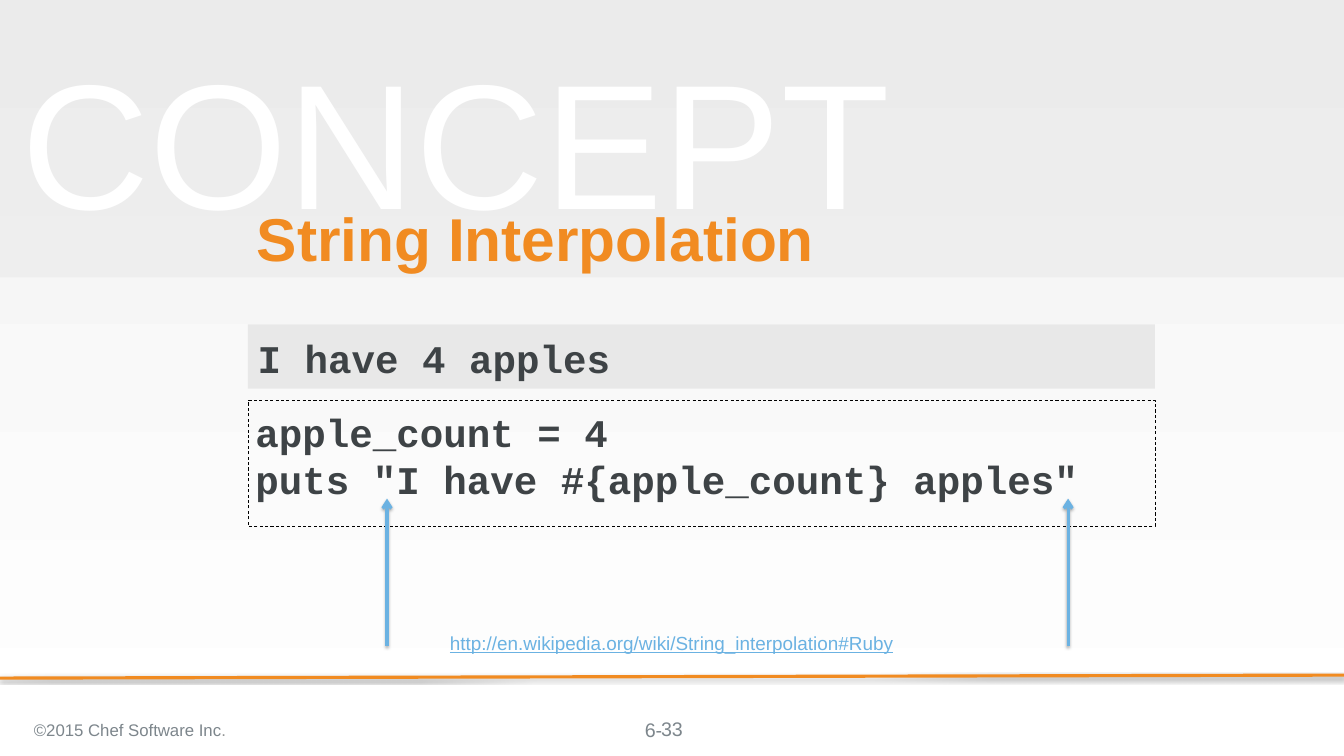
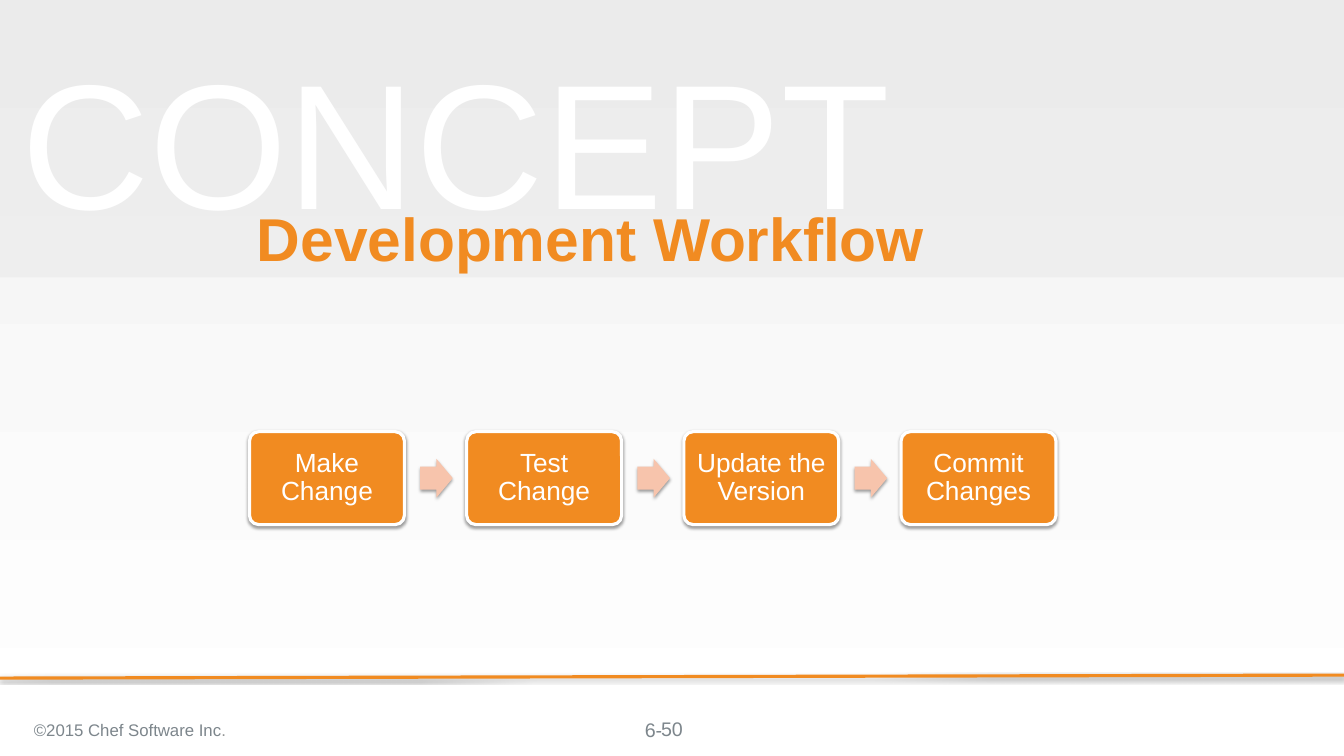
from dataclasses import dataclass
from typing import Optional

import pptx
import pptx.dml.color
import pptx.enum.dml
import pptx.enum.shapes
import pptx.enum.text
import pptx.oxml
import pptx.oxml.ns
import pptx.util

Pt = pptx.util.Pt
RGBColor = pptx.dml.color.RGBColor
Align = pptx.enum.text.PP_ALIGN
Anchor = pptx.enum.text.MSO_ANCHOR
ShapeType = pptx.enum.shapes.MSO_SHAPE
qn = pptx.oxml.ns.qn


@dataclass(frozen=True)
class Theme:
    orange: str = "F18B21"
    blue: str = "6BB2E2"
    peach: str = "F7C4AC"
    dark: str = "3E4346"
    gray: str = "7D868C"
    stop_gray: str = "929494"
    band: str = "D9D9D9"
    pale: str = "F2F2F2"
    white: str = "FFFFFF"
    black: str = "000000"
    font: str = "Arial"
    code_font: str = "Courier New"
    banner_size: float = 169.3
    title_size: float = 57.6
    code_size: float = 37.3
    step_size: float = 25
    number_size: float = 18.7
    link_size: float = 18
    copyright_size: float = 16
    line_width: float = 3


THEME = Theme()
SLIDE_WIDTH, SLIDE_HEIGHT = 1280.16, 720


@dataclass(frozen=True)
class Box:
    left: float
    top: float
    width: float
    height: float

    def lengths(self) -> list:
        return [Pt(value) for value in (self.left, self.top, self.width, self.height)]


@dataclass(frozen=True)
class TextStyle:
    size: float
    color: str
    font: str = THEME.font
    bold: bool = False
    underline: bool = False
    align: Align = Align.LEFT
    anchor: Anchor = Anchor.MIDDLE
    insets: tuple = (7.2, 7.2, 7.2, 7.2)  # left, top, right, bottom
    line_spacing: Optional[float] = None


@dataclass(frozen=True)
class Shadow:
    alpha: int
    distance: float
    blur: float = 3.1


FOOTER_INSETS = (7.2, 3.6, 7.2, 3.6)
WIDE_INSETS = (9.36,) * 4
BANNER = TextStyle(THEME.banner_size, THEME.pale, insets=WIDE_INSETS)
TITLE = TextStyle(THEME.title_size, THEME.orange, bold=True, line_spacing=0.9)
CODE = TextStyle(THEME.code_size, THEME.dark, THEME.code_font, bold=True, anchor=Anchor.TOP)
OUTPUT = TextStyle(THEME.code_size, THEME.dark, THEME.code_font, bold=True,
                   anchor=Anchor.TOP, insets=WIDE_INSETS)
LINK = TextStyle(THEME.link_size, THEME.blue, underline=True, align=Align.CENTER,
                 insets=(7.2, 0, 7.2, 20.4))
STEP = TextStyle(THEME.step_size, THEME.white, align=Align.CENTER, line_spacing=0.9)
COPYRIGHT = TextStyle(THEME.copyright_size, THEME.gray, insets=FOOTER_INSETS)
CHAPTER = TextStyle(THEME.number_size, THEME.gray, anchor=Anchor.TOP, insets=(0, 0, 0, 0))
NUMBER = TextStyle(THEME.number_size, THEME.gray, align=Align.CENTER, insets=FOOTER_INSETS)

LINE_SHADOW = Shadow(alpha=35, distance=1.8)
STEP_SHADOW = Shadow(alpha=38, distance=1.6)


# Drawing helpers
def rgb(color: str) -> RGBColor:
    return RGBColor.from_string(color)


def set_alpha(parent, percent: int) -> None:
    """Make the first solid colour below parent partly transparent."""
    color = next(parent.iter(qn("a:srgbClr")))
    color.append(pptx.oxml.parse_xml(
        f'<a:alpha {pptx.oxml.ns.nsdecls("a")} val="{percent * 1000}"/>'))


def set_shadow(shape, shadow: Shadow) -> None:
    properties = shape._element.spPr
    for effects in properties.findall(qn("a:effectLst")):
        properties.remove(effects)
    properties.append(pptx.oxml.parse_xml(
        f'<a:effectLst {pptx.oxml.ns.nsdecls("a")}>'
        f'<a:outerShdw blurRad="{Pt(shadow.blur)}" dist="{Pt(shadow.distance)}" '
        f'dir="5400000" rotWithShape="0"><a:srgbClr val="{THEME.black}">'
        f'<a:alpha val="{shadow.alpha * 1000}"/></a:srgbClr></a:outerShdw></a:effectLst>'))


def write_text(shape, text: str, style: TextStyle) -> None:
    frame = shape.text_frame
    frame.text = text
    frame.word_wrap = True
    frame.vertical_anchor = style.anchor
    (frame.margin_left, frame.margin_top,
     frame.margin_right, frame.margin_bottom) = [Pt(inset) for inset in style.insets]
    for paragraph in frame.paragraphs:
        paragraph.alignment = style.align
        if style.line_spacing:
            paragraph.line_spacing = style.line_spacing
        for run in paragraph.runs:
            run.font.name = style.font
            run.font.size = Pt(style.size)
            run.font.bold = style.bold
            run.font.underline = style.underline
            run.font.color.rgb = rgb(style.color)


def add_text(slide, box: Box, text: str, style: TextStyle):
    shape = slide.shapes.add_textbox(*box.lengths())
    write_text(shape, text, style)
    return shape


def add_block(slide, kind: ShapeType, box: Box, fill: Optional[str] = None,
              line: Optional[str] = None, line_width: float = THEME.line_width):
    shape = slide.shapes.add_shape(kind, *box.lengths())
    shape.shadow.inherit = False
    if fill:
        shape.fill.solid()
        shape.fill.fore_color.rgb = rgb(fill)
    else:
        shape.fill.background()
    if line:
        shape.line.color.rgb = rgb(line)
        shape.line.width = Pt(line_width)
    else:
        shape.line.fill.background()
    return shape


def add_line(slide, start: tuple, end: tuple, color: str, arrow: bool = False) -> None:
    connector = slide.shapes.add_connector(
        pptx.enum.shapes.MSO_CONNECTOR.STRAIGHT, *[Pt(value) for value in start + end])
    connector.line.color.rgb = rgb(color)
    connector.line.width = Pt(THEME.line_width)
    if arrow:
        connector.line._get_or_add_ln().append(pptx.oxml.parse_xml(
            f'<a:tailEnd {pptx.oxml.ns.nsdecls("a")} type="arrow"/>'))
    set_shadow(connector, LINE_SHADOW)


# Parts shared by all concept slides
def add_banner(slide) -> None:
    banner = add_text(slide, Box(10.8, 38.16, 910.08, 187.2), "CONCEPT", BANNER)
    properties = banner.text_frame.paragraphs[0].runs[0].font._element
    set_alpha(properties, 50)
    properties.insert(0, pptx.oxml.parse_xml(
        f'<a:ln {pptx.oxml.ns.nsdecls("a")} w="{Pt(1.45)}"><a:solidFill>'
        f'<a:srgbClr val="{THEME.white}"/></a:solidFill></a:ln>'))


def add_footer(slide, number: int) -> None:
    add_line(slide, (SLIDE_WIDTH, 642.96), (0, 645.84), THEME.orange)
    add_text(slide, Box(614.16, 683.28, 54.72, 22.32), "6-", CHAPTER)
    footer = add_text(slide, Box(25.2, 675.36, 447.12, 40.32),
                      "©2015 Chef Software Inc", COPYRIGHT)
    full_stop = footer.text_frame.paragraphs[0].add_run()
    full_stop.text = "."
    full_stop.font.name = THEME.font
    full_stop.font.size = Pt(THEME.copyright_size)
    full_stop.font.color.rgb = rgb(THEME.stop_gray)
    add_text(slide, Box(496.08, 675.36, 288, 38.16), str(number), NUMBER)


def add_concept_slide(presentation, title: str, number: int):
    slide = presentation.slides.add_slide(presentation.slide_layouts[6])
    background = slide.background.fill
    background.gradient()
    background.gradient_angle = 270
    for stop, color, position in zip(background.gradient_stops,
                                     (THEME.pale, THEME.white), (0, 1)):
        stop.color.rgb = rgb(color)
        stop.position = position
    band = add_block(slide, ShapeType.RECTANGLE, Box(0, 0, SLIDE_WIDTH, 264.24), THEME.band)
    set_alpha(band._element.spPr, 25)
    add_banner(slide)
    add_footer(slide, number)
    add_text(slide, Box(237.6, 196.56, 864, 66.96), title, TITLE)
    return slide


# Slide contents
def build_interpolation(presentation) -> None:
    slide = add_concept_slide(presentation, "String Interpolation", 33)
    code = add_block(slide, ShapeType.RECTANGLE, Box(236.16, 381.6, 864, 119.52),
                     line=THEME.black, line_width=0.75)
    code.line.dash_style = pptx.enum.dml.MSO_LINE.DASH
    write_text(code, 'apple_count = 4\nputs "I have #{apple_count} apples"', CODE)

    output = add_block(slide, ShapeType.RECTANGLE, Box(236.16, 308.88, 864, 61.2), THEME.band)
    set_alpha(output._element.spPr, 50)
    write_text(output, "I have 4 apples", OUTPUT)

    add_text(slide, Box(288.72, 601.92, 702, 41.04),
             "http://en.wikipedia.org/wiki/String_interpolation#Ruby", LINK)
    for quote_x in (368.64, 1017.36):
        add_line(slide, (quote_x, 614.88), (quote_x, 474.84), THEME.blue, arrow=True)


def build_workflow(presentation) -> None:
    slide = add_concept_slide(presentation, "Development Workflow", 50)
    steps = ("Make Change", "Test Change", "Update the Version", "Commit Changes")
    first_left, pitch, arrow_offset = 237.6, 206.88, 162.72
    for index, label in enumerate(steps):
        left = first_left + index * pitch
        step = add_block(slide, ShapeType.ROUNDED_RECTANGLE, Box(left, 411.12, 147.6, 88.56),
                         THEME.orange, THEME.white)
        step.adjustments[0] = 0.1
        set_shadow(step, STEP_SHADOW)
        write_text(step, label, STEP)
        if index < len(steps) - 1:
            arrow = add_block(slide, ShapeType.RIGHT_ARROW,
                              Box(left + arrow_offset, 437.04, 30.96, 36.72), THEME.peach)
            arrow.adjustments[0] = 0.6
            set_shadow(arrow, STEP_SHADOW)


def main() -> None:
    presentation = pptx.Presentation()
    presentation.slide_width = Pt(SLIDE_WIDTH)
    presentation.slide_height = Pt(SLIDE_HEIGHT)
    build_interpolation(presentation)
    build_workflow(presentation)
    presentation.save("out.pptx")


if __name__ == "__main__":
    main()
